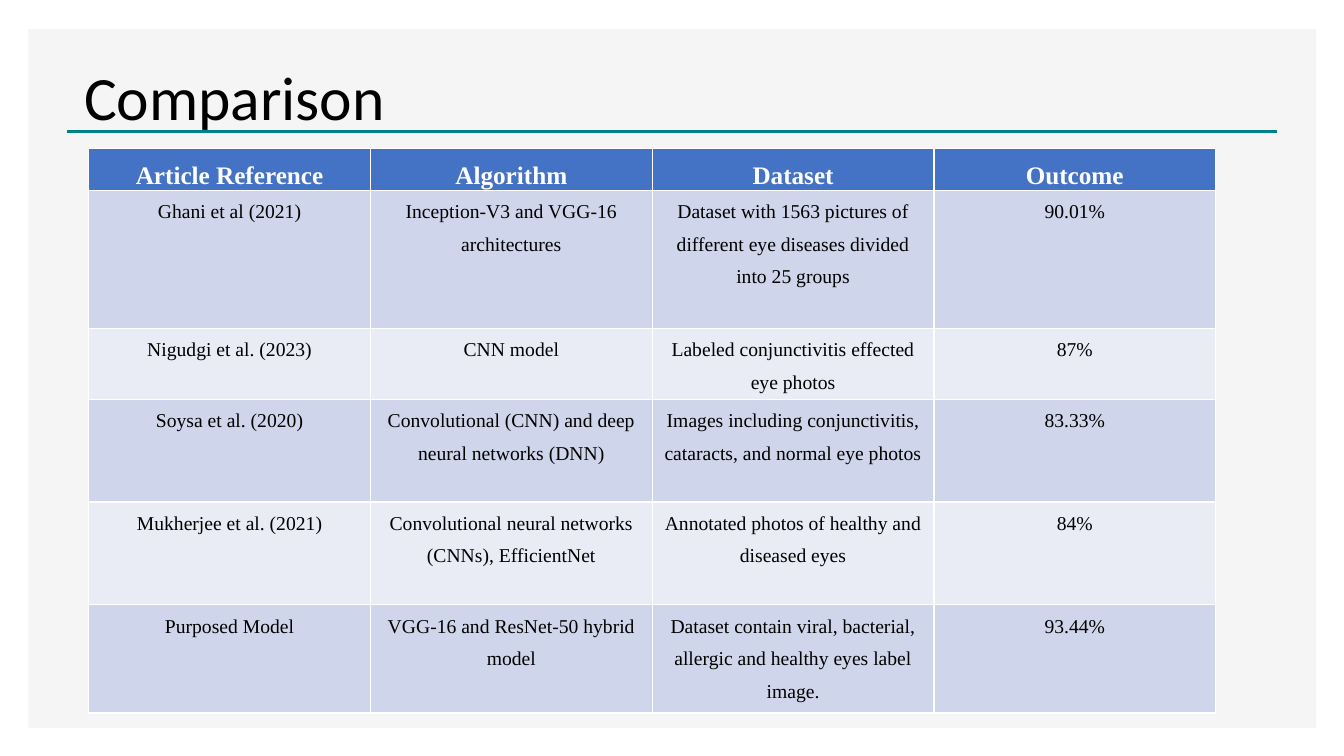
"""Build a slide comparing eye disease classifiers in a table."""
from lxml.etree import SubElement
from pptx import Presentation
from pptx.dml.color import RGBColor
from pptx.enum.shapes import MSO_CONNECTOR as Connector, MSO_SHAPE as Shape
from pptx.enum.text import MSO_ANCHOR as Anchor, PP_ALIGN as Align
from pptx.oxml.ns import qn
from pptx.util import Pt

TITLE = "Comparison"
STUDIES = [
    ("Article Reference", "Algorithm", "Dataset", "Outcome"),
    ("Ghani et al (2021)", "Inception-V3 and VGG-16 architectures",
     "Dataset with 1563 pictures of different eye diseases divided into 25 groups", "90.01%"),
    ("Nigudgi et al. (2023)", "CNN model",
     "Labeled conjunctivitis effected eye photos", "87%"),
    ("Soysa et al. (2020)", "Convolutional (CNN) and deep neural networks (DNN)",
     "Images including conjunctivitis, cataracts, and normal eye photos", "83.33%"),
    ("Mukherjee et al. (2021)", "Convolutional neural networks (CNNs), EfficientNet",
     "Annotated photos of healthy and diseased eyes", "84%"),
    ("Purposed Model", "VGG-16 and ResNet-50 hybrid model",
     "Dataset contain viral, bacterial, allergic and healthy eyes label image.", "93.44%"),
]
ROW_HEIGHTS = [24, 98.9, 50.4, 73.4, 73.4, 77.4]
TABLE_BOX = (63.4, 106, 805, 402.5)
COLORS = {"panel": "F5F5F5", "rule": "008284", "header": "4472C4",
          "odd": "CFD5EA", "even": "E9EBF5", "white": "FFFFFF", "black": "000000"}


def color(name):
    """Return the named colour."""
    return RGBColor.from_string(COLORS[name])


def style_font(paragraph, face, size, shade, bold=False):
    """Format every run of a paragraph."""
    for run in paragraph.runs:
        run.font.name, run.font.size, run.font.bold = face, Pt(size), bold
        run.font.color.rgb = color(shade)


def add_heading(slide):
    """Place the panel and the rule behind the title."""
    title = slide.shapes.title
    title.left, title.top, title.width, title.height = map(Pt, (52.8, 19.4, 828, 104.4))
    title.text_frame.text = TITLE
    title.text_frame.vertical_anchor = Anchor.MIDDLE
    heading = title.text_frame.paragraphs[0]
    heading.alignment, heading.line_spacing = Align.LEFT, 0.9
    style_font(heading, "Calibri", 44, "black")

    panel = slide.shapes.add_shape(Shape.RECTANGLE, *map(Pt, (20.2, 20.9, 920, 499)))
    panel.shadow.inherit = False
    panel.fill.solid()
    panel.fill.fore_color.rgb = color("panel")
    panel.line.fill.background()

    rule = slide.shapes.add_connector(Connector.STRAIGHT, *map(Pt, (47.8, 94, 912.2, 94)))
    rule.line.color.rgb, rule.line.width = color("rule"), Pt(2)
    SubElement(rule._element.spPr, qn("a:effectLst"))
    for backdrop in (panel, rule):
        title._element.addprevious(backdrop._element)


def add_studies(slide):
    """Fill the table, with a header and banded rows."""
    frame = slide.shapes.add_table(len(STUDIES), len(STUDIES[0]), *map(Pt, TABLE_BOX))
    table = frame.table
    for index, (study, height) in enumerate(zip(STUDIES, ROW_HEIGHTS)):
        table.rows[index].height = Pt(height)
        is_header = index == 0
        band = "header" if is_header else "odd" if index % 2 else "even"
        for cell, entry in zip(table.rows[index].cells, study):
            cell.margin_left = cell.margin_right = Pt(5.2)
            cell.margin_top = cell.margin_bottom = 0
            cell.fill.solid()
            cell.fill.fore_color.rgb = color(band)
            cell.text_frame.text = entry
            line = cell.text_frame.paragraphs[0]
            line.alignment, line.line_spacing, line.space_after = Align.CENTER, 1.5, Pt(8)
            style_font(line, "Times New Roman", 18 if is_header else 14,
                       "white" if is_header else "black", is_header)
    frame.height = Pt(TABLE_BOX[3])


def main():
    """Save the finished slide."""
    deck = Presentation()
    deck.slide_width, deck.slide_height = Pt(960), Pt(540)
    slide = deck.slides.add_slide(deck.slide_layouts[5])
    add_heading(slide)
    add_studies(slide)
    deck.save("out.pptx")


if __name__ == "__main__":
    main()
